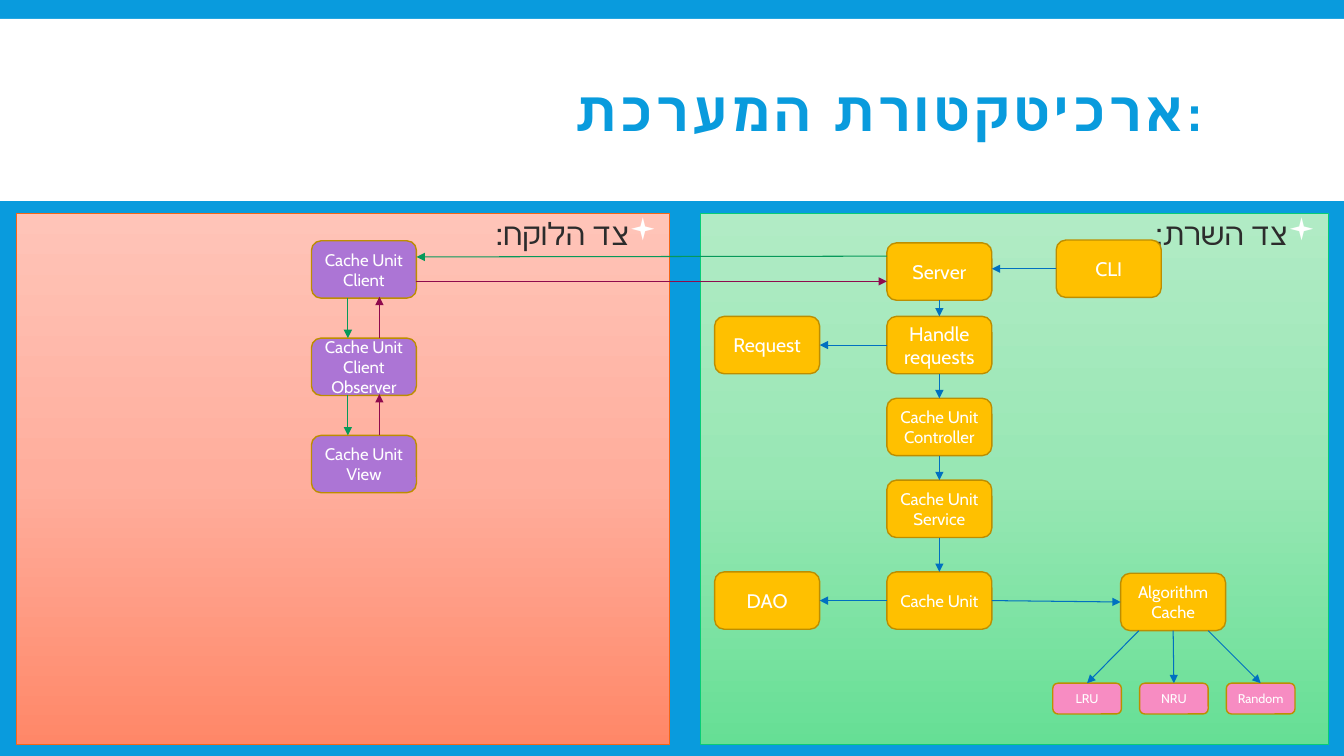
import copy

import pptx
import pptx.dml.color
import pptx.enum.shapes
import pptx.enum.text
import pptx.oxml
import pptx.oxml.ns
import pptx.util

Pt = pptx.util.Pt
SHAPE = pptx.enum.shapes.MSO_SHAPE
ALIGN = pptx.enum.text.PP_ALIGN
ANCHOR = pptx.enum.text.MSO_ANCHOR
FONT = "Cabin"
TOP, LEFT, BOTTOM, RIGHT = range(4)

COLORS = {
    "background": "099BDD", "white": "FFFFFF", "text": "2C2C2C",
    "server": "FFC000", "client": "AC75D5", "algorithm": "F78CC2", "border": "BD8E00",
    "blue": "0070C0", "green": "06995A", "crimson": "8F0A4D",
    "server_edge": "08CC78", "client_edge": "F56617",
    "server_top": "B1EBC5", "server_mid": "98E7B4", "server_end": "66DF95",
    "client_top": "FFC4B8", "client_mid": "FFAE9D", "client_end": "FF8768",
}

BOX_W, BOX_H = 75, 41
MAIN_X, SIDE_X, CLIENT_X = 633.5, 510.5, 222.5
ALGORITHM_X, ALGORITHM_Y = 800.5, 409.5
SMALL_W, SMALL_H = 49, 22

# name: left, top, font size
SERVER_BOXES = {
    "CLI": (754.5, 171.5, 14),
    "Server": (MAIN_X, 173.5, 14),
    "Handle requests": (MAIN_X, 226, 14),
    "Request": (SIDE_X, 226, 14),
    "Cache Unit Controller": (MAIN_X, 284.5, 12),
    "Cache Unit Service": (MAIN_X, 343, 12),
    "Cache Unit": (MAIN_X, 408.5, 12),
    "DAO": (SIDE_X, 408.5, 14),
    "Algorithm Cache": (ALGORITHM_X, ALGORITHM_Y, 12),
}
CLIENT_BOXES = ["Cache Unit Client", "Cache Unit Client Observer", "Cache Unit View"]
ALGORITHMS = ["LRU", "NRU", "Random"]
SERVER_CHAIN = ["Server", "Handle requests", "Cache Unit Controller",
                "Cache Unit Service", "Cache Unit"]


def rgb(name):
    return pptx.dml.color.RGBColor.from_string(COLORS[name])


def add_run(p, text, size, color, bold=False):
    r = p.add_run()
    r.text = text
    r.font.name = FONT
    r.font.size = Pt(size)
    r.font.bold = bold
    r.font.color.rgb = rgb(color)
    return r


def add_block(s, kind, x, y, w, h, fill=None, line=None, weight=1):
    sp = s.shapes.add_shape(kind, Pt(x), Pt(y), Pt(w), Pt(h))
    sp.shadow.inherit = False
    if fill:
        sp.fill.solid()
        sp.fill.fore_color.rgb = rgb(fill)
    if line:
        sp.line.color.rgb = rgb(line)
        sp.line.width = Pt(weight)
    else:
        sp.line.fill.background()
    return sp


def add_title(s, text):
    sp = s.shapes.add_textbox(Pt(95), Pt(22.5), Pt(770.5), Pt(118.5))
    tf = sp.text_frame
    tf.word_wrap = True
    tf.vertical_anchor = ANCHOR.MIDDLE
    p = tf.paragraphs[0]
    p.alignment = ALIGN.RIGHT
    p.line_spacing = 0.85
    r = add_run(p, text, 40, "background", bold=True)
    r.font._element.set("spc", "200")


def add_panel(s, x, w, side, heading):
    """Gradient panel with a right-to-left bulleted heading."""
    sp = add_block(s, SHAPE.RECTANGLE, x, 152.5, w, 379.5,
                   line=side + "_edge", weight=0.75)
    sp.fill.gradient()
    sp.fill.gradient_angle = 270
    stops = sp._element.spPr.find(".//" + pptx.oxml.ns.qn("a:gsLst"))
    stops.insert(1, copy.deepcopy(stops[0]))
    for i, part in enumerate(("_top", "_mid", "_end")):
        stop = sp.fill.gradient_stops[i]
        stop.position = i / 2
        stop.color.rgb = rgb(side + part)

    tf = sp.text_frame
    tf.word_wrap = True
    tf.vertical_anchor = ANCHOR.TOP
    p = tf.paragraphs[0]
    p.alignment = ALIGN.RIGHT
    p.line_spacing = 0.9
    p.space_before, p.space_after = Pt(12), Pt(2)
    pPr = p._p.get_or_add_pPr()
    pPr.set("rtl", "1")
    pPr.set("marR", "0")
    pPr.set("marL", str(Pt(14.4)))
    pPr.set("indent", str(Pt(-14.4)))
    ns = pptx.oxml.ns.nsdecls("a")
    for xml in (f'<a:buClr {ns}><a:srgbClr val="{COLORS["white"]}"/></a:buClr>',
                f'<a:buFont {ns} typeface="Wingdings"/>',
                f'<a:buChar {ns} char="▪"/>'):
        pPr.append(pptx.oxml.parse_xml(xml))
    add_run(p, heading, 22, "text")


def add_box(s, text, x, y, size, fill, w=BOX_W, h=BOX_H):
    sp = add_block(s, SHAPE.ROUNDED_RECTANGLE, x, y, w, h, fill, "border")
    tf = sp.text_frame
    tf.word_wrap = True
    tf.vertical_anchor = ANCHOR.MIDDLE
    p = tf.paragraphs[0]
    p.alignment = ALIGN.CENTER
    add_run(p, text, size, "white")
    return sp


def add_arrow(s, color, start=(0, 0), end=(0, 0), begin_at=None, end_at=None):
    """Arrow between points; begin_at and end_at are (box, side) joins."""
    cx = s.shapes.add_connector(pptx.enum.shapes.MSO_CONNECTOR.STRAIGHT,
                                *map(Pt, start + end))
    if begin_at:
        cx.begin_connect(*begin_at)
    if end_at:
        cx.end_connect(*end_at)
    cx.line.color.rgb = rgb(color)
    cx.line.width = Pt(0.75)
    ns = pptx.oxml.ns.nsdecls("a")
    cx.line._get_or_add_ln().append(
        pptx.oxml.parse_xml(f'<a:tailEnd {ns} type="triangle"/>'))
    cx._element.spPr.append(pptx.oxml.parse_xml(f"<a:effectLst {ns}/>"))


def add_server_side(s):
    boxes = {name: add_box(s, name, x, y, size, "server")
             for name, (x, y, size) in SERVER_BOXES.items()}
    small = [add_box(s, name, 752 + 62 * i, 488, 9, "algorithm", SMALL_W, SMALL_H)
             for i, name in enumerate(ALGORITHMS)]

    add_arrow(s, "blue", end=(MAIN_X + BOX_W, 192), begin_at=(boxes["CLI"], LEFT))
    for upper, lower in zip(SERVER_CHAIN, SERVER_CHAIN[1:]):
        add_arrow(s, "blue", begin_at=(boxes[upper], BOTTOM), end_at=(boxes[lower], TOP))
    for source, side, target, target_side in (
            ("Handle requests", LEFT, "Request", RIGHT),
            ("Cache Unit", LEFT, "DAO", RIGHT),
            ("Cache Unit", RIGHT, "Algorithm Cache", LEFT)):
        add_arrow(s, "blue", begin_at=(boxes[source], side),
                  end_at=(boxes[target], target_side))

    lru, nru, random = small
    algorithm_bottom = ALGORITHM_Y + BOX_H
    add_arrow(s, "blue", (813.5, algorithm_bottom), end_at=(lru, TOP))
    add_arrow(s, "blue", begin_at=(boxes["Algorithm Cache"], BOTTOM), end_at=(nru, TOP))
    add_arrow(s, "blue", (863, algorithm_bottom), end_at=(random, TOP))


def add_client_side(s):
    top, step = 172, 69.5
    for i, name in enumerate(CLIENT_BOXES):
        add_box(s, name, CLIENT_X, top + step * i, 12, "client")
    for i in range(len(CLIENT_BOXES) - 1):
        upper, lower = top + step * i + BOX_H, top + step * (i + 1)
        add_arrow(s, "green", (248.5, upper), (248.5, lower))
        add_arrow(s, "crimson", (271, lower), (271, upper - 1))


def main():
    prs = pptx.Presentation()
    prs.slide_width, prs.slide_height = Pt(960), Pt(540)
    s = prs.slides.add_slide(prs.slide_layouts[6])
    s.background.fill.solid()
    s.background.fill.fore_color.rgb = rgb("background")

    add_block(s, SHAPE.RECTANGLE, 0, 13.5, 960, 130, "white")
    add_title(s, "ארכיטקטורת המערכת:")
    add_panel(s, 500.5, 448.5, "server", "צד השרת:")
    add_panel(s, 12, 466.5, "client", "צד הלוקח:")
    add_server_side(s)
    add_client_side(s)
    client_right = CLIENT_X + BOX_W
    add_arrow(s, "green", (MAIN_X, 183), (client_right, 183.5))
    add_arrow(s, "crimson", (client_right, 201), (MAIN_X, 201))
    prs.save("out.pptx")


if __name__ == "__main__":
    main()
